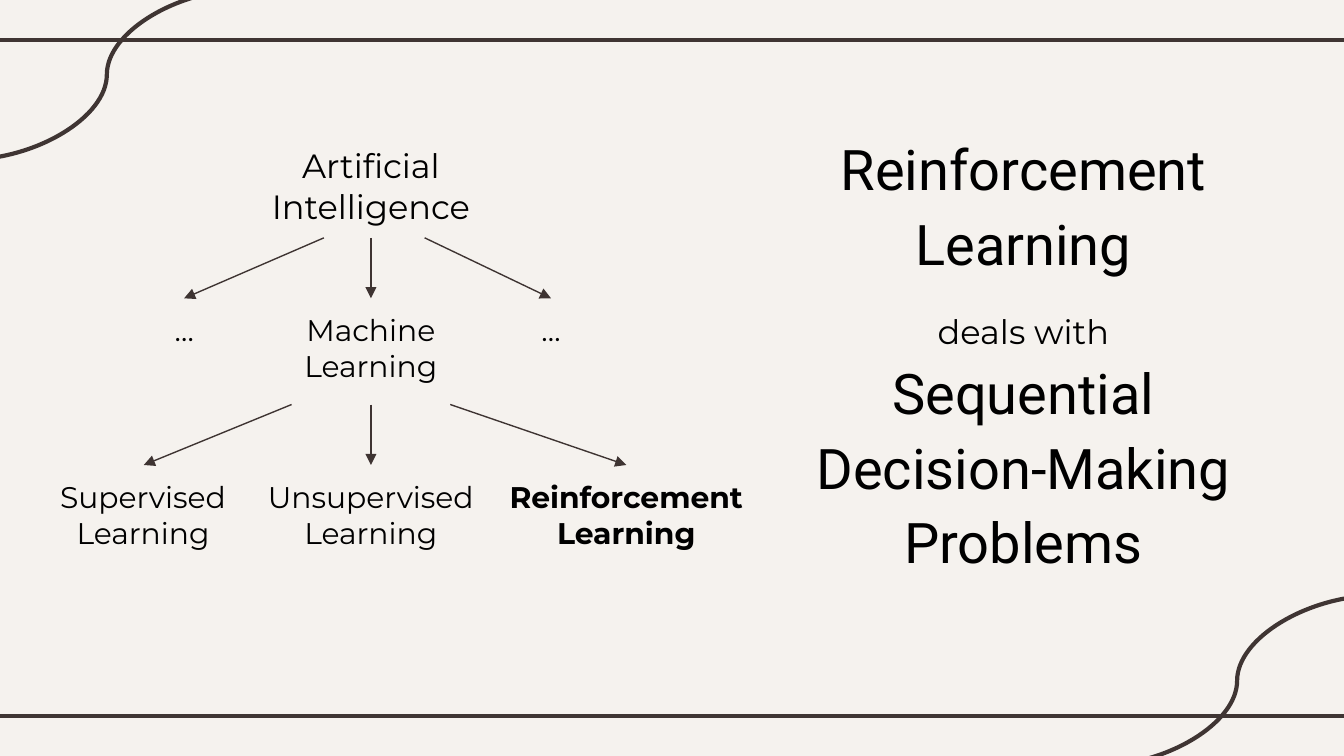
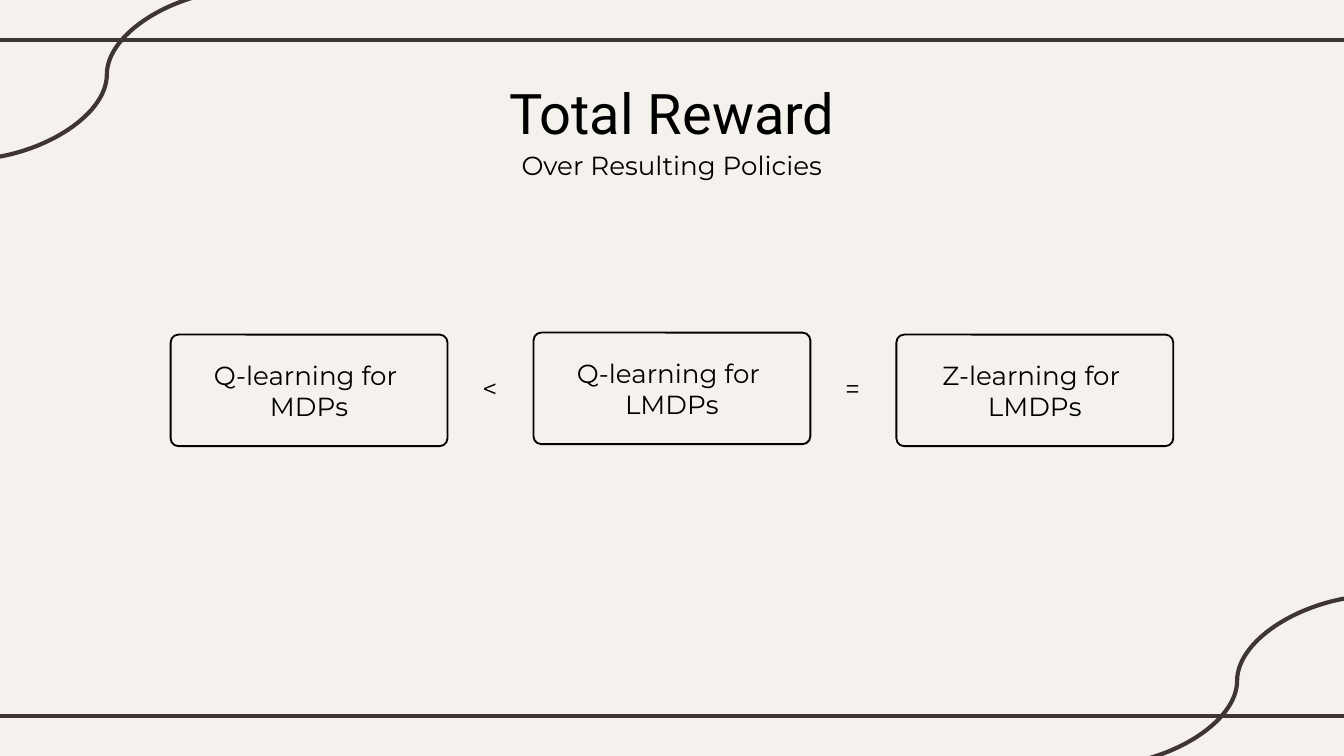
"""Build two slides on reinforcement learning and total reward."""
from lxml import etree
from pptx import Presentation
from pptx import util as u
from pptx.dml.color import RGBColor
from pptx.enum import shapes, text
from pptx.oxml.ns import qn

WIDTH, HEIGHT = 2000, 1125
BACKGROUND, FRAME, ARROW, INK = "F5F2EE", "3F3533", "3E3432", "000000"
HEADING, BODY = "Roboto", "Montserrat"
TITLE_SIZE = 30


def px(length):
    return u.Emu(length * 4572)


def colour(code):
    return RGBColor.from_string(code)


def write(paragraph, words, size=14, font=BODY, bold=False, after=0,
          align=text.PP_ALIGN.CENTER):
    paragraph.alignment = align
    paragraph.space_before, paragraph.space_after = u.Pt(0), u.Pt(after)
    run = paragraph.add_run()
    run.text = words
    run.font.size, run.font.name, run.font.bold = u.Pt(size), font, bold
    run.font.color.rgb = colour(INK)


class Deck:
    """Hold the shared style and the current slide."""

    def __init__(self):
        self.prs = Presentation()
        self.prs.slide_width, self.prs.slide_height = px(WIDTH), px(HEIGHT)
        self.master = self.prs.slide_master
        self.master.background.fill.solid()
        self.master.background.fill.fore_color.rgb = colour(BACKGROUND)

    def new_slide(self, layout):
        self.slide = self.prs.slides.add_slide(self.prs.slide_layouts[layout])

    def decorate_master(self):
        straight, curve = shapes.MSO_CONNECTOR.STRAIGHT, shapes.MSO_CONNECTOR.CURVE
        borders = [
            (straight, -16, 60, WIDTH + 16, 60),
            (straight, -16, 1066, WIDTH + 16, 1066),
            (curve, 2052, 886, 1630, 1140),
            (curve, 370, -16, -52, 238),
        ]
        for number, (kind, *ends) in enumerate(borders, 100):
            border = self.line(*ends, FRAME, 2.25, kind).element
            border.nvCxnSpPr.cNvPr.id = number
            self.master.element.cSld.spTree.append(border)

    def line(self, x1, y1, x2, y2, code, weight,
             kind=shapes.MSO_CONNECTOR.STRAIGHT):
        link = self.slide.shapes.add_connector(kind, px(x1), px(y1), px(x2), px(y2))
        link.line.color.rgb = colour(code)
        link.line.width = u.Pt(weight)
        etree.SubElement(link.element.spPr, qn("a:effectLst"))
        return link

    def arrow(self, x1, y1, x2, y2):
        link = self.line(x1, y1, x2, y2, ARROW, 0.75)
        outline = link.element.spPr.find(qn("a:ln"))
        etree.SubElement(outline, qn("a:tailEnd"), type="triangle")

    def frame(self, shape, inset=20, anchor=text.MSO_ANCHOR.TOP, wrap=True,
              fit=text.MSO_AUTO_SIZE.NONE):
        area = shape.text_frame
        area.margin_left = area.margin_right = px(20)
        area.margin_top = area.margin_bottom = px(inset)
        area.vertical_anchor, area.word_wrap, area.auto_size = anchor, wrap, fit
        return area

    def placeholder(self, index, left, top, width, height):
        holder = self.slide.placeholders[index]
        holder.left, holder.top = px(left), px(top)
        holder.width, holder.height = px(width), px(height)
        return self.frame(holder).paragraphs[0]

    def label(self, words, left, top, width, height, **style):
        box = self.slide.shapes.add_textbox(px(left), px(top), px(width), px(height))
        write(self.frame(box).paragraphs[0], words, **style)

    def sign(self, words, left, top):
        box = self.slide.shapes.add_textbox(px(left), px(top), px(62), px(68))
        area = self.frame(box, inset=10, wrap=False,
                          fit=text.MSO_AUTO_SIZE.SHAPE_TO_FIT_TEXT)
        write(area.paragraphs[0], words, align=text.PP_ALIGN.LEFT)

    def card(self, lines, left, top):
        card = self.slide.shapes.add_shape(
            shapes.MSO_SHAPE.ROUNDED_RECTANGLE, px(left), px(top), px(412), px(166))
        card.adjustments[0] = 0.07
        card.shadow.inherit = False
        card.fill.background()
        card.line.color.rgb = colour(INK)
        card.line.width = u.Pt(1)
        area = self.frame(card, inset=10, anchor=text.MSO_ANCHOR.MIDDLE)
        for position, words in enumerate(lines):
            write(area.add_paragraph() if position else area.paragraphs[0], words)


def learning_tree(deck):
    statement = deck.placeholder(0, 1158, 169, 730, 730)
    statement.line_spacing = u.Pt(40)
    phrases = [("Reinforcement Learning", TITLE_SIZE, HEADING),
               ("deals with", 18, BODY),
               ("Sequential Decision-Making Problems", TITLE_SIZE, HEADING)]
    for words, size, font in phrases:
        write(statement, words, size=size, font=font)
        statement.add_line_break()

    root = deck.placeholder(1, 362, 196, 380, 158)
    write(root, "Artificial Intelligence", size=18, after=12)
    branches = [
        ("Machine Learning", 362, 444, 380, 158),
        ("Supervised Learning", 37, 692, 352, 158),
        ("Unsupervised Learning", 376, 692, 352, 158),
        ("Reinforcement Learning", 728, 692, 408, 158),
        ("…", 728, 444, 184, 90),
        ("…", 182, 444, 184, 90),
    ]
    for words, *place in branches:
        deck.label(words, *place, size=16, after=12,
                   bold=words.startswith("Reinforcement"))

    fans = {354: [(552, 552), (482, 274), (632, 820)],
            602: [(552, 552), (434, 214), (670, 932)]}
    for top, spans in fans.items():
        for start, end in spans:
            deck.arrow(start, top, end, top + 90)


def total_reward(deck):
    write(deck.placeholder(0, 272, 97, 1456, 126), "Total Reward",
          size=TITLE_SIZE, font=HEADING)
    deck.label("Over Resulting Policies", 746, 203, 508, 90)
    methods = [("Q-learning for ", "MDPs", 498),
               ("Q-learning for ", "LMDPs", 495),
               ("Z-learning for ", "LMDPs", 498)]
    pitch = 540
    for column, (method, model, top) in enumerate(methods):
        deck.card((method, model), 254 + column * pitch, top)
    for gap, relation in enumerate("<="):
        deck.sign(relation, 698 + gap * pitch, 544)


def main():
    deck = Deck()
    deck.new_slide(0)
    deck.decorate_master()
    learning_tree(deck)
    deck.new_slide(5)
    total_reward(deck)
    deck.prs.save("out.pptx")


if __name__ == "__main__":
    main()
